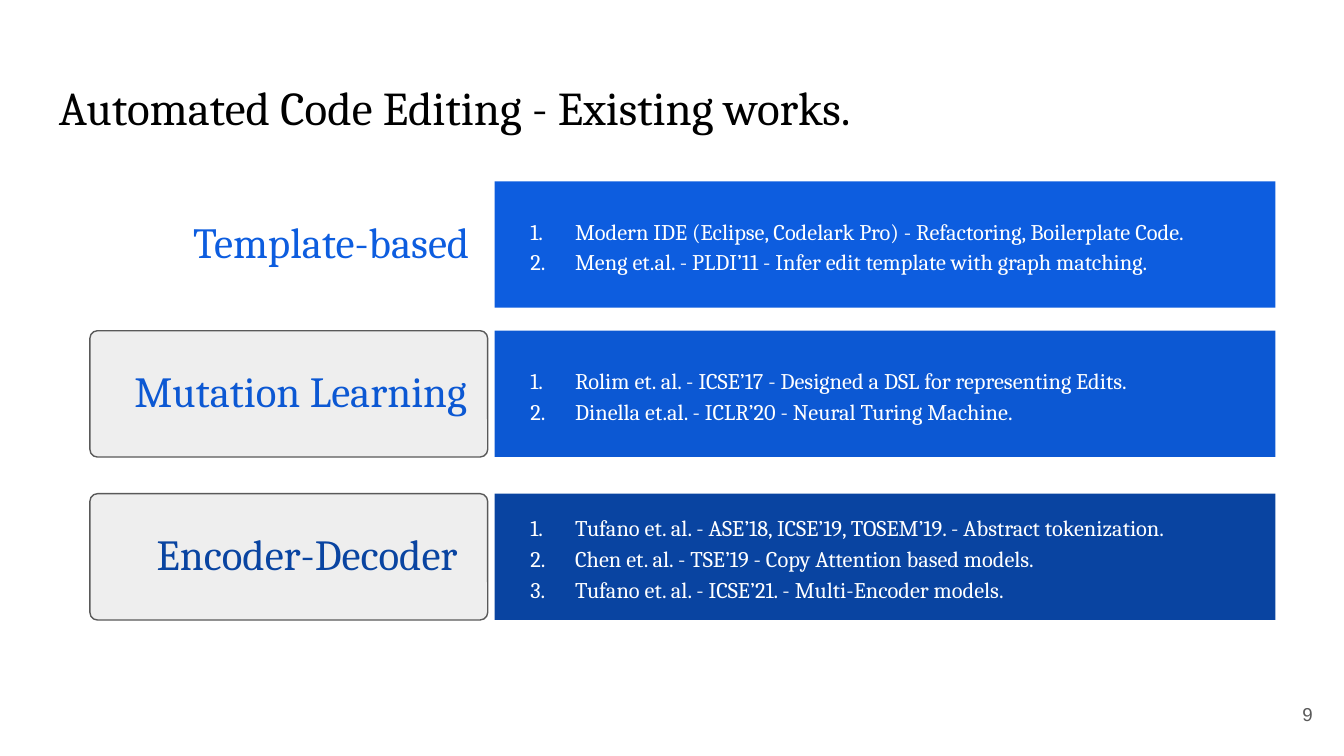
from lxml.etree import SubElement
from pptx import Presentation
from pptx.dml.color import RGBColor
from pptx.enum.shapes import MSO_SHAPE
from pptx.enum.text import MSO_ANCHOR, PP_ALIGN
from pptx.oxml.ns import qn
from pptx.util import Pt

HUES = {
    "black": "000000", "white": "FFFFFF", "gray": "595959", "pale": "EEEEEE",
    "light": "0D5DDF", "mid": "0C58D3", "dark": "0944A1",
}
HEIGHT = 67.7
ROWS = [
    (97.2, "Template-based", "light", False, [
        "Modern IDE (Eclipse, Codelark Pro) - Refactoring, Boilerplate Code.",
        "Meng et.al. - PLDI’11 - Infer edit template with graph matching.",
    ]),
    (177.2, "Mutation Learning", "mid", True, [
        "Rolim et. al. - ICSE’17 - Designed a DSL for representing Edits.",
        "Dinella et.al. - ICLR’20 - Neural Turing Machine.",
    ]),
    (264.5, "Encoder-Decoder ", "dark", True, [
        "Tufano et. al. - ASE’18, ICSE’19, TOSEM’19. - Abstract tokenization.",
        "Chen et. al. - TSE’19 - Copy Attention based models.",
        "Tufano et. al. - ICSE’21. - Multi-Encoder models.",
    ]),
]


def color(name):
    return RGBColor.from_string(HUES[name])


def add_box(slide, kind, left, top, width, fill, line=None):
    box = slide.shapes.add_shape(kind, Pt(left), Pt(top), Pt(width), Pt(HEIGHT))
    box.shadow.inherit = False
    box.fill.solid()
    box.fill.fore_color.rgb = color(fill)
    if line:
        box.line.color.rgb = color(line)
        box.line.width = Pt(0.75)
    else:
        box.line.fill.background()
    return box


def add_frame(slide, left, top, width, height):
    return slide.shapes.add_textbox(Pt(left), Pt(top), Pt(width), Pt(height))


def number(para):
    """Turn a paragraph into a numbered item with a hanging indent."""
    props = para._p.get_or_add_pPr()
    props.set("marL", str(Pt(36)))
    props.set("indent", str(Pt(-24)))
    tint = SubElement(props, qn("a:buClr"))
    SubElement(tint, qn("a:srgbClr"), val=HUES["white"])
    SubElement(props, qn("a:buAutoNum"), type="arabicPeriod")


def write(box, lines, size, hue, font="Cambria", align=PP_ALIGN.LEFT,
          anchor=MSO_ANCHOR.MIDDLE, space=1, listed=False, right=7.2, pad=3.6):
    frame = box.text_frame
    frame.text = "\n".join(lines)
    frame.word_wrap = True
    frame.vertical_anchor = anchor
    frame.margin_left, frame.margin_right = Pt(7.2), Pt(right)
    frame.margin_top = frame.margin_bottom = Pt(pad)
    for para in frame.paragraphs:
        if listed:
            number(para)
        para.alignment = align
        para.line_spacing = space
        for run in para.runs:
            run.font.name = font
            run.font.size = Pt(size)
            run.font.color.rgb = color(hue)


def add_row(slide, top, label, hue, framed, works):
    left, width = 48.2, 213.1
    if framed:
        tag = add_box(slide, MSO_SHAPE.ROUNDED_RECTANGLE, left, top, width,
                      "pale", "gray")
        tag.adjustments[0] = 0.06
    else:
        tag = add_frame(slide, left, top, width, HEIGHT)
    write(tag, [label], 23, hue, align=PP_ALIGN.RIGHT, space=0.9, right=9.6)
    panel = add_box(slide, MSO_SHAPE.RECTANGLE, 265, top, 418.3, hue)
    write(panel, works, 12, "white", space=1.15, listed=True)


def main():
    deck = Presentation()
    deck.slide_width, deck.slide_height = Pt(720), Pt(405)
    slide = deck.slides.add_slide(deck.slide_layouts[6])
    title = add_frame(slide, 24.5, 35, 671, 45.1)
    write(title, ["Automated Code Editing - Existing works."], 25.2, "black",
          anchor=MSO_ANCHOR.TOP, pad=7.2)
    for row in ROWS:
        add_row(slide, *row)
    page = add_frame(slide, 667.1, 367.2, 43.2, 31)
    write(page, ["9"], 10, "gray", font="Arial", align=PP_ALIGN.RIGHT, pad=7.2)
    deck.save("out.pptx")


if __name__ == "__main__":
    main()
